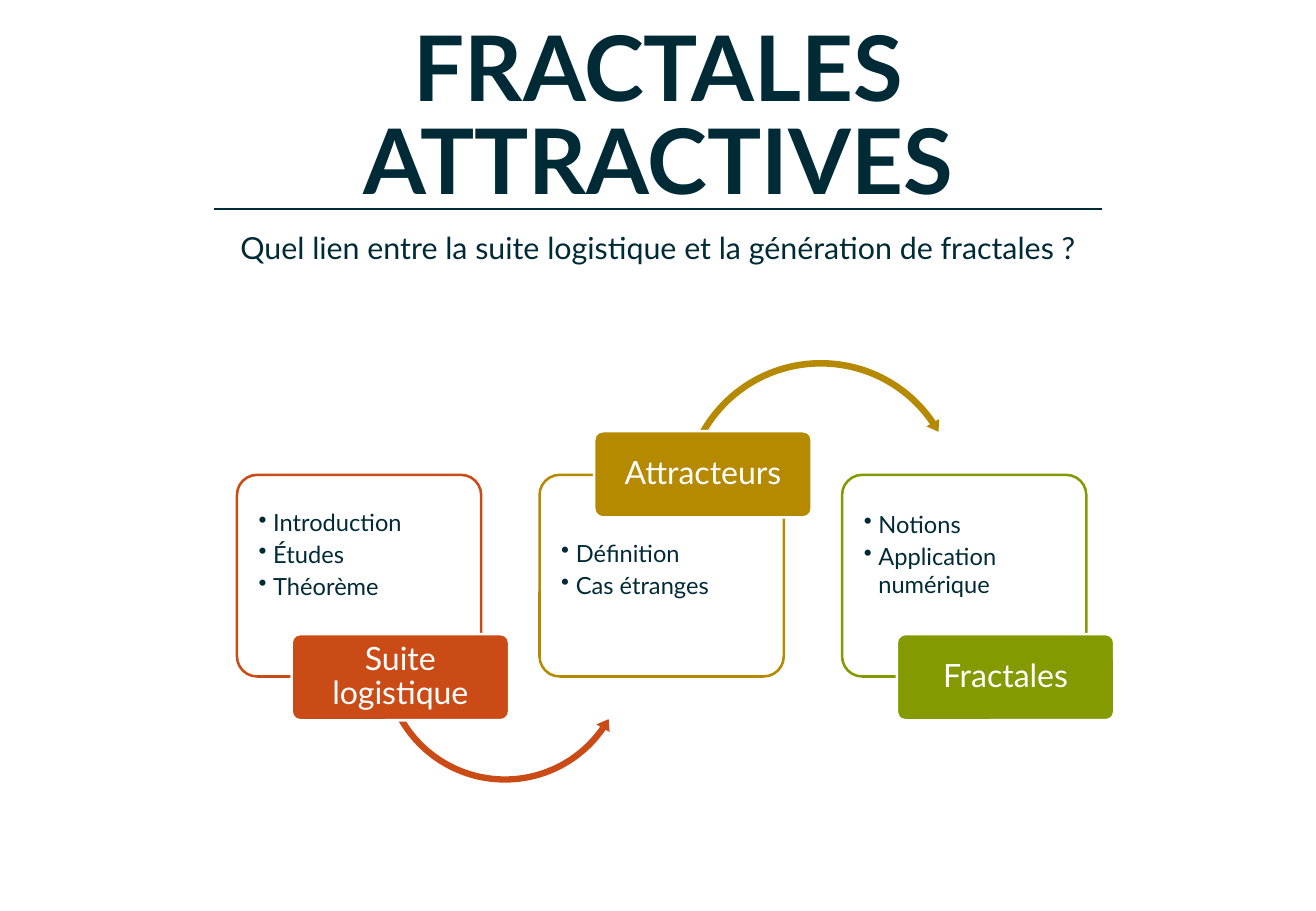
from dataclasses import dataclass
from typing import Optional

from lxml import etree
from pptx import Presentation
from pptx.dml.color import RGBColor
from pptx.enum.shapes import MSO_CONNECTOR, MSO_SHAPE
from pptx.enum.text import MSO_ANCHOR, PP_ALIGN
from pptx.oxml.ns import qn
from pptx.util import Inches, Pt

ROUND = MSO_SHAPE.ROUNDED_RECTANGLE
OVER = MSO_SHAPE.CIRCULAR_ARROW
UNDER = MSO_SHAPE.LEFT_CIRCULAR_ARROW
LINE = MSO_CONNECTOR.STRAIGHT
TOP, MIDDLE, BOTTOM = MSO_ANCHOR.TOP, MSO_ANCHOR.MIDDLE, MSO_ANCHOR.BOTTOM
CENTER, LEFT = PP_ALIGN.CENTER, PP_ALIGN.LEFT

FONT = "Lato"
INK = "002B36"
WHITE = "FFFFFF"
FIRST, PITCH = 1.95, 2.49
CARD_TOP, CARD_W, CARD_H = 3.91, 2.01, 1.66
TAG_W, TAG_H, TAG_SHIFT = 1.79, 0.71, 0.45


@dataclass
class Arrow:
    kind: MSO_SHAPE
    left: float
    top: float
    size: float
    width: float
    head: float
    spread: float
    end: float
    start: float


@dataclass
class Step:
    name: str
    items: list[str]
    color: str
    raised: bool = False
    arrow: Optional[Arrow] = None


STEPS = [
    Step("Suite logistique", ["Introduction", "Études", "Théorème"], "CB4B16",
         arrow=Arrow(UNDER, 3.11, 4.39, 2.09, 0.025, 0.03, 5.16, 34.75, 150.41)),
    Step("Attracteurs", ["Définition", "Cas étranges"], "B58900", True,
         Arrow(OVER, 5.58, 2.93, 2.35, 0.023, 0.026, 4.56, 325.85, 209.59)),
    Step("Fractales", ["Notions", "Application numérique"], "859900"),
]


def paint(target, color: str) -> None:
    target.solid()
    target.fore_color.rgb = RGBColor.from_string(color)


def add_shape(kind, left: float, top: float, width: float, height: float,
              fill: str, line: Optional[str] = None):
    shape = slide.shapes.add_shape(
        kind, Inches(left), Inches(top), Inches(width), Inches(height))
    shape.shadow.inherit = False
    paint(shape.fill, fill)
    if line:
        paint(shape.line.fill, line)
        shape.line.width = Pt(1.5)
    else:
        shape.line.fill.background()
    return shape


def set_frame(frame, anchor, left: float, top: float, bottom: float) -> None:
    frame.word_wrap = True
    frame.vertical_anchor = anchor
    frame.margin_left = frame.margin_right = Inches(left)
    frame.margin_top, frame.margin_bottom = Inches(top), Inches(bottom)


def write(para, text: str, size: float, color: str, align=CENTER,
          space: float = 0.9, bold: bool = False) -> None:
    para.alignment = align
    para.line_spacing = space
    run = para.add_run()
    run.text = text
    run.font.name = FONT
    run.font.size = Pt(size)
    run.font.bold = bold
    paint(run.font.fill, color)


def add_bullet(para) -> None:
    props = para._p.get_or_add_pPr()
    props.set("marL", str(Inches(0.12)))
    props.set("indent", str(Inches(-0.12)))
    etree.SubElement(props, qn("a:buChar")).set("char", "•")


def add_card(step: Step, left: float) -> None:
    card = add_shape(ROUND, left, CARD_TOP, CARD_W, CARD_H, WHITE, step.color)
    card.adjustments[0] = 0.1
    tint = card.fill._xPr.find(qn("a:solidFill"))[0]
    etree.SubElement(tint, qn("a:alpha")).set("val", "90000")
    frame = card.text_frame
    if step.raised:
        set_frame(frame, TOP, 0.13, 0.48, 0.13)
    else:
        set_frame(frame, MIDDLE, 0.13, 0.13, 0.48)
    for index, item in enumerate(step.items):
        para = frame.add_paragraph() if index else frame.paragraphs[0]
        write(para, item, 14, INK, LEFT, 1.0)
        para.space_after = Pt(2.1)
        add_bullet(para)


def add_arrow(arrow: Arrow, color: str) -> None:
    shape = add_shape(arrow.kind, arrow.left, arrow.top,
                      arrow.size, arrow.size, color)
    shape.adjustments[0] = arrow.width
    for index, angle in enumerate((arrow.spread, arrow.end, arrow.start), 1):
        shape.adjustments[index] = angle * 0.6
    shape.adjustments[4] = arrow.head


def add_tag(step: Step, left: float) -> None:
    top = 3.55 if step.raised else 5.22
    tag = add_shape(ROUND, left + TAG_SHIFT, top, TAG_W, TAG_H, step.color, WHITE)
    tag.adjustments[0] = 0.1
    set_frame(tag.text_frame, MIDDLE, 0.04, 0.03, 0.03)
    write(tag.text_frame.paragraphs[0], step.name, 19, WHITE)


def add_text(left: float, top: float, width: float, height: float, anchor):
    box = slide.shapes.add_textbox(
        Inches(left), Inches(top), Inches(width), Inches(height))
    set_frame(box.text_frame, anchor, 0.1, 0.05, 0.05)
    return box.text_frame.paragraphs[0]


deck = Presentation()
deck.slide_width, deck.slide_height = Inches(10.83), Inches(7.5)
slide = deck.slides.add_slide(deck.slide_layouts[6])
paint(slide.background.fill, WHITE)

rule = slide.shapes.add_connector(
    LINE, Inches(1.76), Inches(1.72), Inches(9.07), Inches(1.72))
paint(rule.line.fill, INK)
rule.line.width = Pt(0.79)
etree.SubElement(rule._element.spPr, qn("a:effectLst"))

title = add_text(0.99, -0.45, 8.86, 2.25, BOTTOM)
write(title, "FRACTALES ATTRACTIVES", 53.6, INK, space=0.85, bold=True)
query = add_text(1.52, 1.87, 7.79, 1.52, TOP)
write(query, "Quel lien entre la suite logistique et la génération de fractales ?",
      18, INK)
query.space_before = Pt(10)

for index, step in enumerate(STEPS):
    left = FIRST + index * PITCH
    add_card(step, left)
    if step.arrow:
        add_arrow(step.arrow, step.color)
    add_tag(step, left)

deck.save("out.pptx")
